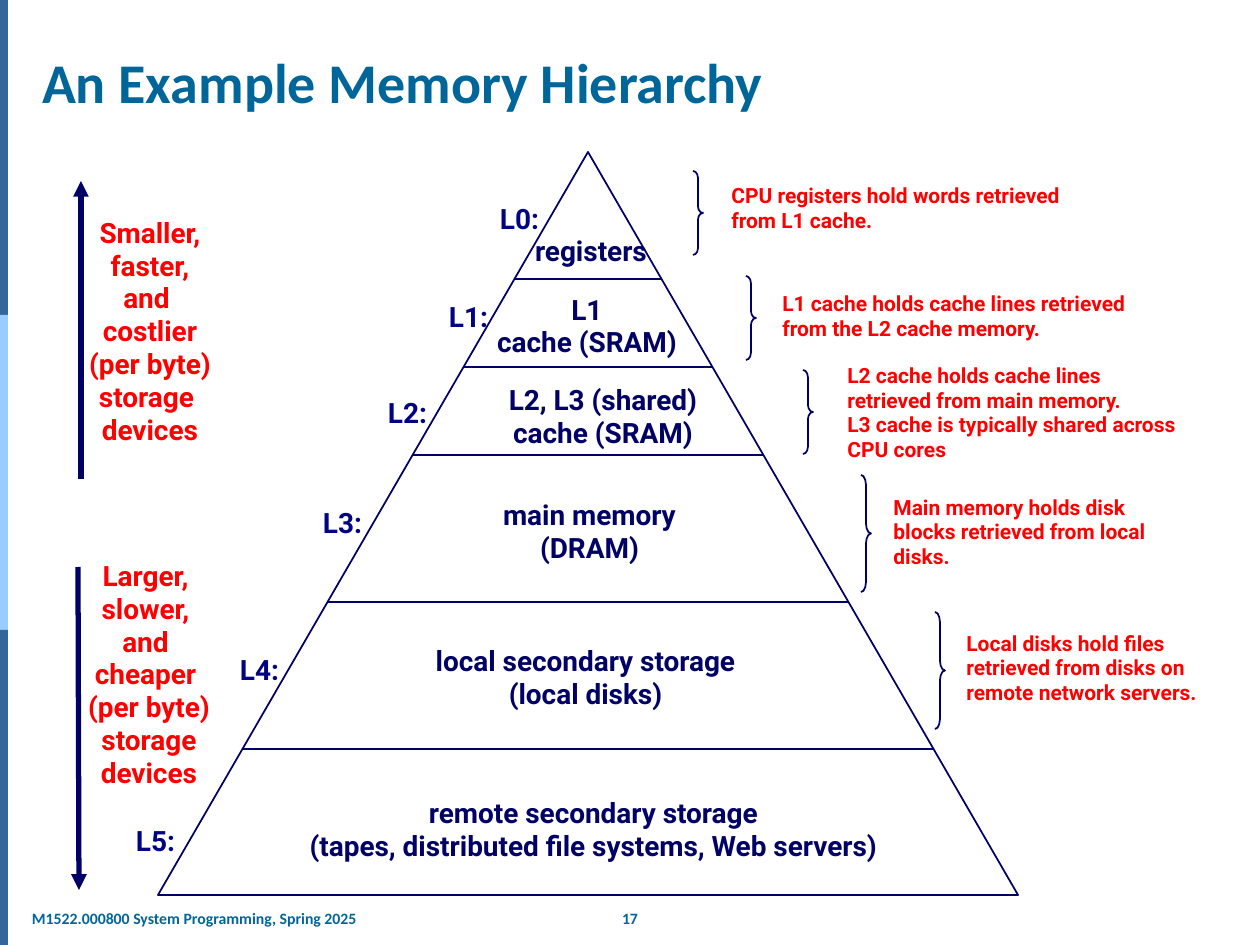
import pptx
import pptx.util
import pptx.dml.color
import pptx.enum.shapes
import pptx.enum.text
import pptx.oxml.ns
from lxml import etree

SHAPE = pptx.enum.shapes.MSO_SHAPE
ALIGN = pptx.enum.text.PP_ALIGN
ANCHOR = pptx.enum.text.MSO_ANCHOR
FIT = pptx.enum.text.MSO_AUTO_SIZE

NAVY, RED, TEAL, LABEL = "000066", "FF0000", "006699", "000482"
APEX_X, APEX_Y = 588, 152
BASE_Y, HALF_BASE = 895, 430

# Text of each tier, with its box
TIERS = [
    ("registers", (519, 229, 144, 45)),
    ("L1\ncache (SRAM)", (480, 287, 214, 79)),
    ("L2, L3 (shared)\ncache (SRAM)", (486, 378, 234, 79)),
    ("main memory\n(DRAM)", (486, 493, 207, 78)),
    ("local secondary storage\n(local disks)", (413, 639, 345, 78)),
    ("remote secondary storage\n(tapes, distributed file systems, Web servers)",
     (280, 791, 627, 78)),
]
TIER_EDGES = [279, 367, 455, 602, 749]
LEVEL_CORNERS = [(486, 197), (435, 295), (374, 391), (309, 501), (226, 648), (122, 819)]

# Text, its box, the brace box and the brace curvature
NOTES = [
    ("CPU registers hold words retrieved from L1 cache.",
     (719, 178, 402, 62), (693, 171, 10, 84), 0.67),
    ("L1 cache holds cache lines retrieved from the L2 cache memory.",
     (770, 286, 391, 62), (746, 276, 10, 84), 0.72),
    ("L2 cache holds cache lines retrieved from main memory.\n"
     "L3 cache is typically shared across CPU cores",
     (835, 357, 363, 112), (803, 370, 10, 84), 0.72),
    ("Main memory holds disk\nblocks retrieved from local\ndisks.",
     (881, 489, 382, 87), (861, 475, 10, 117), 0.99),
    ("Local disks hold files retrieved from disks on remote network servers.",
     (954, 625, 285, 87), (935, 612, 10, 117), 0.99),
]

# Text, its box, and the arrow's start and end
TRENDS = [
    ("Smaller,\nfaster,\nand \ncostlier\n(per byte)\nstorage \ndevices",
     (74, 210, 152, 244), (81, 479), (81, 181)),
    ("Larger, \nslower, \nand \ncheaper \n(per byte)\nstorage\ndevices",
     (73, 553, 152, 244), (78, 567), (79, 890)),
]


def px(length):
    return pptx.util.Inches(length / 126)


def color(code):
    return pptx.dml.color.RGBColor.from_string(code)


def apply(target, values):
    for name, value in values.items():
        setattr(target, name, value)


def fill_text(frame, text, size, code, font="Roboto", **para_format):
    frame.text = text
    for para in frame.paragraphs:
        apply(para, para_format)
        for span in para.runs:
            apply(span.font, {"name": font, "size": pptx.util.Pt(size), "bold": True})
            span.font.color.rgb = color(code)


def add_text(page, text, bounds, size, code, wrap=False, **para_format):
    box = page.shapes.add_textbox(*map(px, bounds))
    apply(box.text_frame, {"word_wrap": wrap, "auto_size": FIT.NONE,
                           "vertical_anchor": ANCHOR.MIDDLE})
    fill_text(box.text_frame, text, size, code, **para_format)
    return box


def add_body(page, text, bounds, size, code, align=ALIGN.CENTER, wrap=False):
    add_text(page, text, bounds, size, code, wrap, alignment=align, line_spacing=0.98)


def add_shape(page, kind, bounds, fill=None, line=None, adjust=None):
    shape = page.shapes.add_shape(kind, *map(px, bounds))
    shape.shadow.inherit = False
    if fill:
        shape.fill.solid()
        shape.fill.fore_color.rgb = color(fill)
    else:
        shape.fill.background()
    if line:
        shape.line.color.rgb = color(line)
        shape.line.width = pptx.util.Pt(1)
    else:
        shape.line.fill.background()
    if adjust is not None:
        shape.adjustments[0] = adjust


def add_line(page, start, end, width, arrow=False):
    line = page.shapes.add_connector(
        pptx.enum.shapes.MSO_CONNECTOR.STRAIGHT, *map(px, start + end))
    line.line.color.rgb = color(NAVY)
    line.line.width = pptx.util.Pt(width)
    if arrow:
        etree.SubElement(line.line._get_or_add_ln(),
                         pptx.oxml.ns.qn("a:tailEnd"), type="triangle")
    etree.SubElement(line._element.spPr, pptx.oxml.ns.qn("a:effectLst"))


def add_frame(page):
    # Side bar, footer and page number
    for index, code in enumerate(["336699", "99CCFF", "336699"]):
        add_shape(page, SHAPE.RECTANGLE, (0, index * 315, 8, 315), fill=code)
    add_text(page, "17", (607, 902, 46, 32), 9, TEAL, font="Calibri",
             alignment=ALIGN.CENTER)
    footer = add_text(page, "M1522.000800 System Programming, Spring 2025",
                      (25, 902, 343, 32), 9, TEAL, font="Calibri",
                      alignment=ALIGN.LEFT)
    apply(footer.text_frame, {"margin_left": px(7), "margin_right": px(7)})


def add_title(page, text):
    title = page.shapes.title
    apply(title, dict(zip(("left", "top", "width", "height"),
                          map(px, (42, 20, 1177, 95)))))
    apply(title.text_frame, {"margin_left": 0, "margin_top": 0, "margin_right": 0,
                             "margin_bottom": 0, "word_wrap": True,
                             "auto_size": FIT.NONE, "vertical_anchor": ANCHOR.BOTTOM})
    fill_text(title.text_frame, text, 32, TEAL, font="Calibri", alignment=ALIGN.LEFT)


def add_pyramid(page):
    add_shape(page, SHAPE.ISOSCELES_TRIANGLE,
              (APEX_X - HALF_BASE, APEX_Y, 2 * HALF_BASE, BASE_Y - APEX_Y), line=NAVY)
    # Each divider runs from one sloping side to the other
    for y in TIER_EDGES:
        half = round(HALF_BASE * (y - APEX_Y) / (BASE_Y - APEX_Y))
        add_line(page, (APEX_X - half, y), (APEX_X + half, y), 1)
    for text, bounds in TIERS:
        add_body(page, text, bounds, 16, NAVY)
    for level, corner in enumerate(LEVEL_CORNERS):
        add_body(page, f"L{level}:", corner + (67, 45), 16, LABEL)


def main():
    deck = pptx.Presentation()
    apply(deck, {"slide_width": px(1260), "slide_height": px(945)})
    page = deck.slides.add_slide(deck.slide_layouts[5])
    add_frame(page)
    add_title(page, "An Example Memory Hierarchy")
    add_pyramid(page)
    # Braces with their explanations
    for text, bounds, brace, curve in NOTES:
        add_shape(page, SHAPE.RIGHT_BRACE, brace, line=NAVY, adjust=curve)
        add_body(page, text, bounds, 12, RED, align=ALIGN.LEFT, wrap=True)
    # Trends along the left side
    for text, bounds, start, end in TRENDS:
        add_line(page, start, end, 3, arrow=True)
        add_body(page, text, bounds, 16, RED)
    deck.save("out.pptx")


if __name__ == "__main__":
    main()
